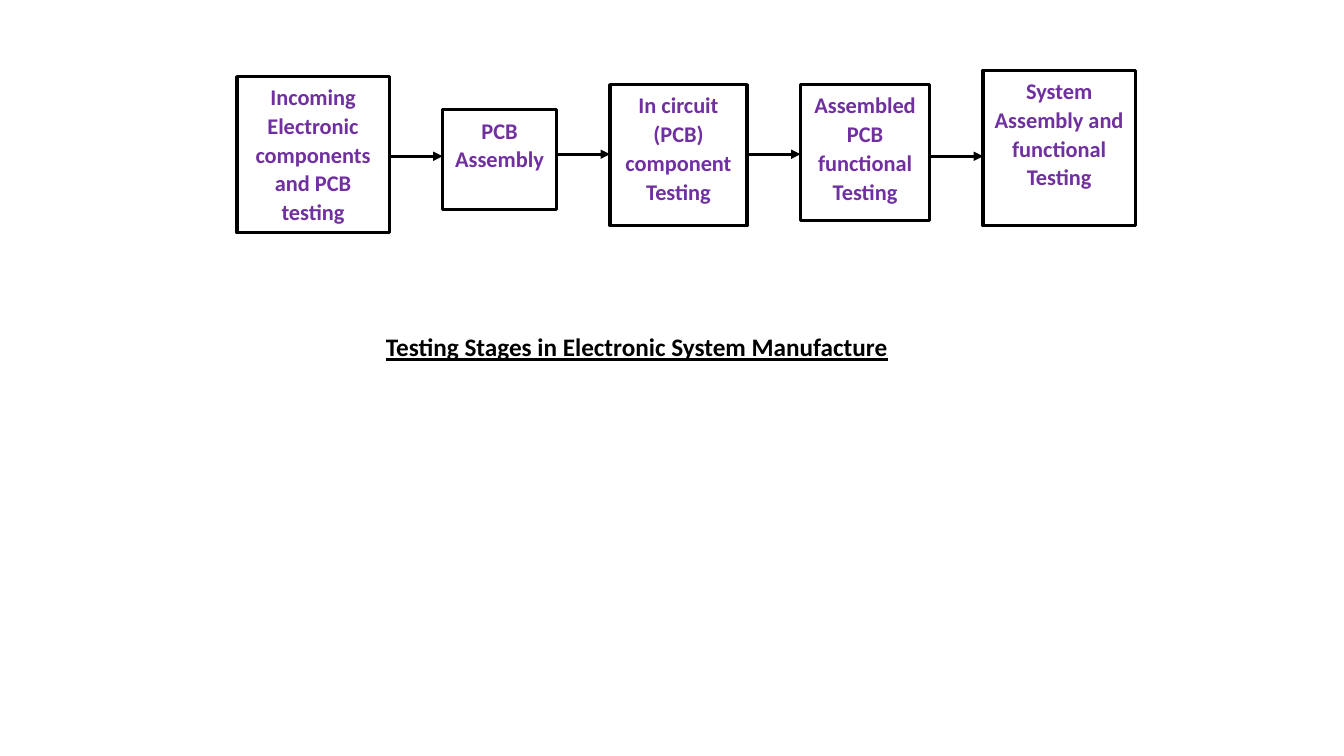
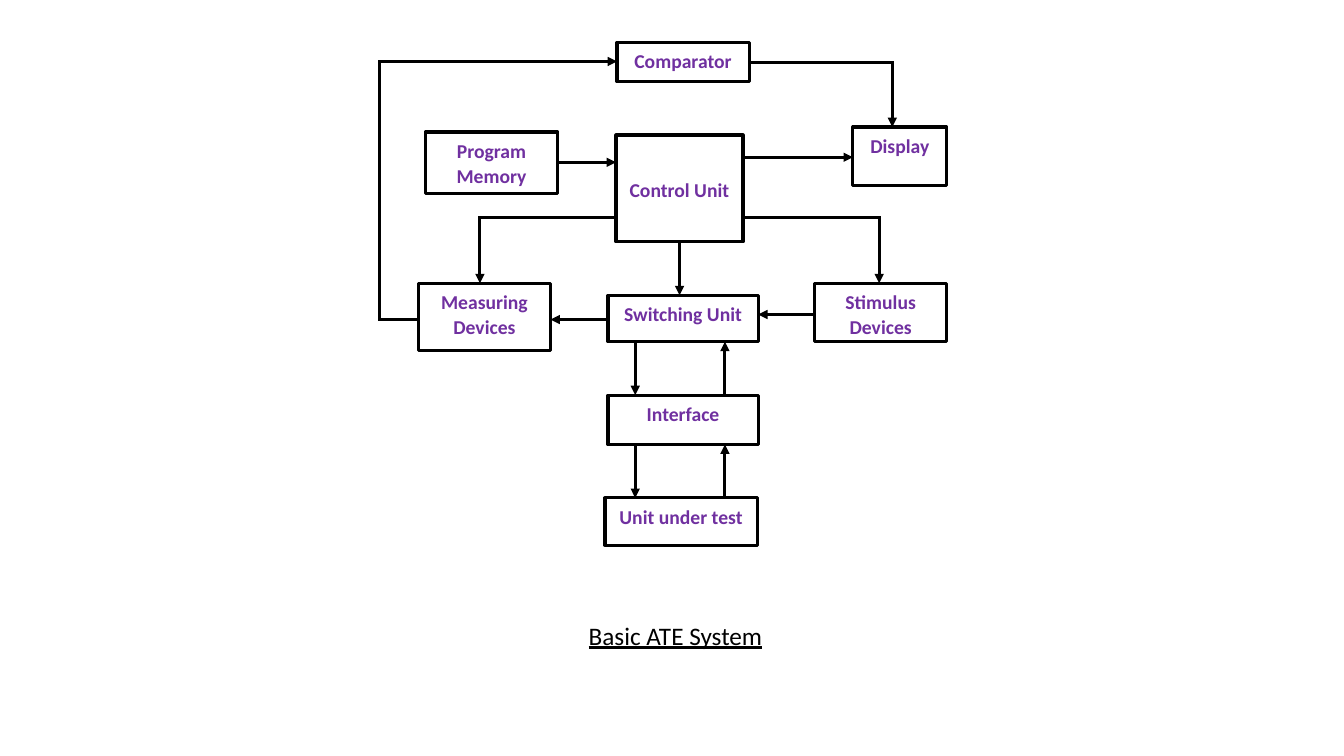
from itertools import pairwise

from lxml import etree
from pptx import Presentation
from pptx.dml import color as dml
from pptx.enum import shapes, text
from pptx.oxml import ns
from pptx.util import Pt

# Shared style: 100 px to the inch
PX = 9144
FONT = "Calibri"
BLACK, WHITE, PURPLE = "000000", "FFFFFF", "7030A0"
LINE_WIDTH = Pt(2.25)


def paint(target, hex_color):
    """Set a solid colour on a fill, or on the colour of a font or line."""
    if hasattr(target, "solid"):
        target.solid()
        target.fore_color.rgb = dml.RGBColor.from_string(hex_color)
    else:
        target.color.rgb = dml.RGBColor.from_string(hex_color)


def style_text(text_frame, size, hex_color, bold, underline=False):
    for paragraph in text_frame.paragraphs:
        for run in paragraph.runs:
            run.font.name = FONT
            run.font.size = Pt(size)
            run.font.bold = bold
            run.font.underline = underline
            paint(run.font, hex_color)


# Boxes: label, left, top, width, height
# Routes: corner points, ending in an arrowhead
testing_stages = {
    "title": ("Testing Stages in Electronic System Manufacture", 373, 324, 520, 40),
    "title_bold": True,
    "size": 16,
    "boxes": [
        ("Incoming Electronic components and PCB testing", 235, 76, 151, 155),
        ("PCB Assembly", 439, 109, 113, 99),
        ("In circuit (PCB) component\nTesting", 605, 84, 136, 140),
        ("Assembled PCB functional Testing", 794, 84, 128, 135),
        ("System Assembly and\nfunctional Testing", 975, 70, 151, 154),
    ],
    "routes": [
        [(386, 155), (439, 155)],
        [(552, 153), (605, 153)],
        [(741, 153), (794, 153)],
        [(922, 155), (975, 155)],
    ],
}
ate_system = {
    "title": ("Basic ATE System", 574, 610, 194, 40),
    "title_bold": False,
    "size": 14,
    "boxes": [
        ("Comparator", 612, 42, 131, 39),
        ("Program\nMemory", 422, 131, 131, 61),
        ("Control Unit", 611, 134, 126, 106),
        ("Display", 846, 126, 93, 58),
        ("Measuring Devices", 415, 281, 131, 67),
        ("Switching Unit", 603, 293, 149, 46),
        ("Stimulus Devices", 808, 281, 131, 58),
        ("Interface", 603, 392, 149, 49),
        ("Unit under test", 600, 494, 151, 47),
    ],
    "routes": [
        [(415, 317), (376, 317), (376, 61), (612, 61)],
        [(743, 62), (885, 62), (885, 126)],
        [(553, 161), (611, 161)],
        [(737, 156), (846, 156)],
        [(609, 216), (476, 216), (476, 281)],
        [(737, 216), (872, 216), (872, 281)],
        [(674, 240), (674, 293)],
        [(603, 317), (546, 317)],
        [(808, 312), (752, 312)],
        [(630, 339), (630, 392)],
        [(630, 441), (630, 494)],
        [(719, 392), (719, 339)],
        [(719, 494), (719, 441)],
    ],
}

presentation = Presentation()
presentation.slide_width = 1333 * PX
presentation.slide_height = 750 * PX

for diagram in (testing_stages, ate_system):
    slide = presentation.slides.add_slide(presentation.slide_layouts[6])

    # Boxes
    for label, *bounds in diagram["boxes"]:
        shape = slide.shapes.add_shape(
            shapes.MSO_SHAPE.RECTANGLE, *(length * PX for length in bounds))
        shape.shadow.inherit = False
        paint(shape.fill, WHITE)
        paint(shape.line, BLACK)
        shape.line.width = LINE_WIDTH
        text_frame = shape.text_frame
        text_frame.word_wrap = True
        text_frame.vertical_anchor = (
            text.MSO_ANCHOR.MIDDLE if label == "Control Unit" else text.MSO_ANCHOR.TOP)
        text_frame.text = label
        for paragraph in text_frame.paragraphs:
            paragraph.alignment = text.PP_ALIGN.CENTER
            paragraph.line_spacing = 1.07
        style_text(text_frame, diagram["size"], PURPLE, bold=True)

    # Arrows, with square caps closing the corners of bent ones
    for route in diagram["routes"]:
        for start, end in pairwise(route):
            connector = slide.shapes.add_connector(
                shapes.MSO_CONNECTOR.STRAIGHT, *(length * PX for length in start + end))
            paint(connector.line, BLACK)
            connector.line.width = LINE_WIDTH
            properties = connector._element.spPr
            outline = properties.find(ns.qn("a:ln"))
            if end == route[-1]:
                etree.SubElement(outline, ns.qn("a:tailEnd"), type="triangle")
            else:
                outline.set("cap", "sq")
            etree.SubElement(properties, ns.qn("a:effectLst"))

    # Title below the diagram
    title, *bounds = diagram["title"]
    text_box = slide.shapes.add_textbox(*(length * PX for length in bounds))
    text_box.text_frame.word_wrap = False
    text_box.text_frame.auto_size = text.MSO_AUTO_SIZE.SHAPE_TO_FIT_TEXT
    text_box.text_frame.text = title
    style_text(text_box.text_frame, 18, BLACK, diagram["title_bold"], underline=True)

presentation.save("out.pptx")
